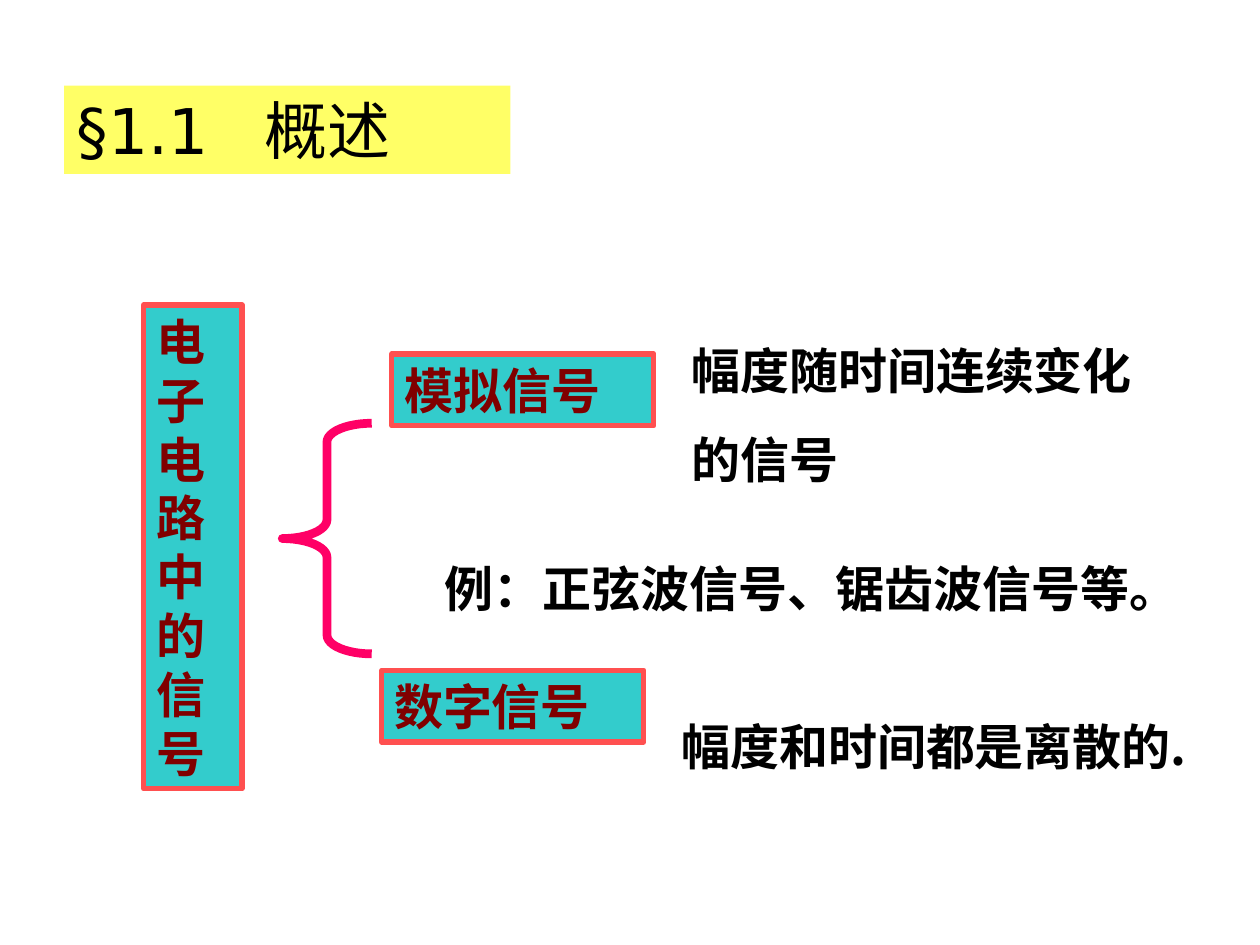
from dataclasses import dataclass

from lxml.etree import SubElement
from pptx import Presentation
from pptx.dml.color import RGBColor as Rgb
from pptx.enum.shapes import MSO_SHAPE as Kind
from pptx.enum.text import MSO_ANCHOR as Anchor, MSO_AUTO_SIZE as Fit, PP_ALIGN as Align
from pptx.oxml.ns import qn
from pptx.util import Inches, Pt


@dataclass(frozen=True)
class Theme:
    """Hold the colours, fonts and sizes of the slide."""
    black: str = "000000"
    maroon: str = "800000"
    yellow: str = "FFFF66"
    teal: str = "33CCCC"
    coral: str = "FF5050"
    pink: str = "FF0066"
    sans: str = "DejaVu Sans"
    serif: str = "Times New Roman"
    noto: str = "Noto Sans CJK SC"
    head: float = 36
    body: float = 28
    lead: float = 33.6
    gap: float = 17.5
    edge: float = 3
    brace: float = 5


LOOK = Theme()


def write(shape, lines, font, size, color, bold=True):
    """Fill a shape with left-aligned paragraphs."""
    frame = shape.text_frame
    frame.word_wrap = True
    frame.auto_size = Fit.NONE
    frame.vertical_anchor = Anchor.MIDDLE
    for n, line in enumerate(lines):
        para = frame.add_paragraph() if n else frame.paragraphs[0]
        para.alignment = Align.LEFT
        para.space_before = Pt(LOOK.gap if n else 0)
        if size == LOOK.body:
            para.line_spacing = Pt(LOOK.lead)
        run = para.add_run()
        run.text = line
        run.font.name = font
        run.font.size = Pt(size)
        run.font.bold = bold
        run.font.color.rgb = Rgb.from_string(color)


def add_title(slide, box):
    """Place the section title on its yellow band."""
    title = slide.shapes.title
    title.left, title.top, title.width, title.height = map(Inches, box)
    title.fill.solid()
    title.fill.fore_color.rgb = Rgb.from_string(LOOK.yellow)
    write(title, ["§1.1\t概述"], LOOK.sans, LOOK.head, LOOK.black, False)
    props = title.text_frame.paragraphs[0]._p.get_or_add_pPr()
    tabs = SubElement(props, qn("a:tabLst"))
    SubElement(tabs, qn("a:tab"), pos=str(Inches(1.49)), algn="l")


def add_label(slide, box, text):
    """Place a framed teal label."""
    label = slide.shapes.add_shape(Kind.RECTANGLE, *map(Inches, box))
    label.shadow.inherit = False
    label.fill.solid()
    label.fill.fore_color.rgb = Rgb.from_string(LOOK.teal)
    label.line.color.rgb = Rgb.from_string(LOOK.coral)
    label.line.width = Pt(LOOK.edge)
    write(label, [text], LOOK.serif, LOOK.body, LOOK.maroon)


def add_brace(slide, box):
    """Place the brace that splits the signals into two kinds."""
    brace = slide.shapes.add_shape(Kind.LEFT_BRACE, *map(Inches, box))
    brace.shadow.inherit = False
    brace.fill.background()
    brace.line.color.rgb = Rgb.from_string(LOOK.pink)
    brace.line.width = Pt(LOOK.brace)
    brace.adjustments[0] = 0.21


def add_note(slide, box, lines, font=LOOK.serif):
    """Place a plain bold explanation."""
    note = slide.shapes.add_textbox(*map(Inches, box))
    write(note, lines, font, LOOK.body, LOOK.black)


def main():
    """Build and save the slide."""
    deck = Presentation()
    deck.slide_width, deck.slide_height = Inches(10), Inches(7.5)
    slide = deck.slides.add_slide(deck.slide_layouts[5])
    add_title(slide, (0.51, 0.68, 3.54, 0.7))
    add_label(slide, (1.14, 2.42, 0.78, 3.84), "电子电路中的信号")
    add_brace(slide, (2.24, 3.36, 0.71, 1.83))
    add_label(slide, (3.11, 2.81, 2.08, 0.57), "模拟信号")
    add_label(slide, (3.03, 5.32, 2.08, 0.57), "数字信号")
    add_note(slide, (5.39, 2.65, 4.1, 1.28), ["幅度随时间连续变化", "的信号"])
    add_note(slide, (3.43, 4.38, 6.15, 0.57), ["例：正弦波信号、锯齿波信号等。"])
    add_note(slide, (5.31, 5.4, 4.27, 1.04), ["幅度和时间都是离散的."], LOOK.noto)
    deck.save("out.pptx")


if __name__ == "__main__":
    main()
